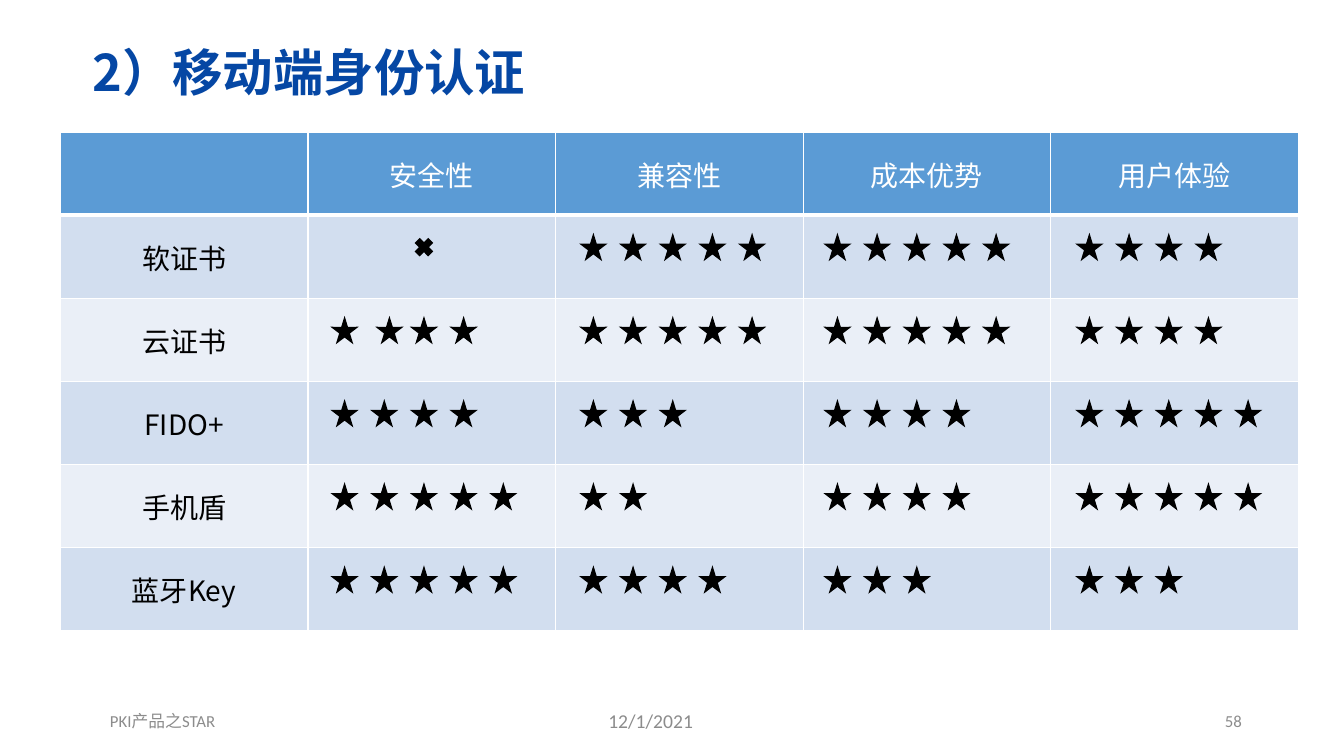
import pptx
import pptx.util
import pptx.dml.color
import pptx.enum.shapes
import pptx.enum.text
import pptx.oxml.ns
from lxml import etree

Cm, Pt = pptx.util.Cm, pptx.util.Pt
RGBColor = pptx.dml.color.RGBColor
MSO_SHAPE = pptx.enum.shapes.MSO_SHAPE
PP_ALIGN = pptx.enum.text.PP_ALIGN
MIDDLE = pptx.enum.text.MSO_ANCHOR.MIDDLE
qn = pptx.oxml.ns.qn

TITLE_BLUE = RGBColor(0x05, 0x47, 0xA4)
HEADER_BLUE = RGBColor(0x5B, 0x9B, 0xD5)
BAND_DARK = RGBColor(0xD2, 0xDE, 0xEF)
BAND_LIGHT = RGBColor(0xEA, 0xEF, 0xF7)
GREY = RGBColor(0x8C, 0x8C, 0x8C)
BLACK = RGBColor(0, 0, 0)
WHITE = RGBColor(0xFF, 0xFF, 0xFF)

CJK_FONT = "Noto Sans CJK SC"
LATIN_FONT = "Calibri"

CRITERIA = ["安全性", "兼容性", "成本优势", "用户体验"]
# Stars per criterion; 0 stands for a cross
RATINGS = [
    ("软证书", (0, 5, 5, 4)),
    ("云证书", (4, 5, 5, 4)),
    ("FIDO+", (4, 3, 4, 5)),
    ("手机盾", (5, 2, 4, 5)),
    ("蓝牙Key", (5, 4, 3, 3)),
]
MARK_INSETS = (0.62, 0.65, 0.56, 0.67)
MARK_TOP, MARK_SIZE, MARK_PITCH = 0.5, 0.61, 1.0
CROSS_SLOT = 2
# Extra shift of single stars: (row, column, star)
NUDGES = {(1, 0, 1): 0.13}


def style_text(p, text, size, color, font, align=PP_ALIGN.LEFT, bold=False):
    p.text = text
    p.alignment = align
    p.font.size = Pt(size)
    p.font.bold = bold
    p.font.color.rgb = color
    p.font.name = font
    for r in p.runs:
        ea = etree.SubElement(r._r.get_or_add_rPr(), qn("a:ea"))
        ea.set("typeface", CJK_FONT)


def add_text(s, box, *style, **options):
    tb = s.shapes.add_textbox(*(Cm(v) for v in box))
    tf = tb.text_frame
    tf.word_wrap = True
    tf.vertical_anchor = MIDDLE
    style_text(tf.paragraphs[0], *style, **options)
    return tf.paragraphs[0]


def add_title(s, box):
    p = add_text(s, box, "2）移动端身份认证", 36, TITLE_BLUE, CJK_FONT, bold=True)
    p.line_spacing = 0.9


def add_footer(s, box):
    left, top, width, height = box
    add_text(s, (left, top, 4.04, height), "PKI产品之STAR", 12, GREY,
             LATIN_FONT, PP_ALIGN.CENTER)
    add_text(s, (left + 13, top, 3, height), "12/1/2021", 14, GREY, LATIN_FONT)
    add_text(s, (left + width - 7.62, top, 7.62, height), "58", 12, GREY,
             LATIN_FONT, PP_ALIGN.RIGHT)


def set_borders(cell, bottom):
    tcPr = cell._tc.get_or_add_tcPr()
    for side, width in (("L", 1), ("R", 1), ("T", 1), ("B", bottom)):
        ln = etree.SubElement(tcPr, qn("a:ln" + side), w=str(Pt(width)))
        fill = etree.SubElement(ln, qn("a:solidFill"))
        etree.SubElement(fill, qn("a:srgbClr"), val=str(WHITE))


def add_rating_table(s, box):
    left, top, width, height = box
    rows = [["", *CRITERIA]] + [[name] for name, _ in RATINGS]
    n_rows, n_cols = len(rows), len(rows[0])
    table = s.shapes.add_table(n_rows, n_cols, *(Cm(v) for v in box)).table
    table.first_row = table.horz_banding = False
    for i, texts in enumerate(rows):
        header = i == 0
        band = HEADER_BLUE if header else (BAND_LIGHT, BAND_DARK)[i % 2]
        for j in range(n_cols):
            cell = table.cell(i, j)
            set_borders(cell, 3 if header else 1)
            cell.fill.solid()
            cell.fill.fore_color.rgb = band
            cell.vertical_anchor = MIDDLE
            if j < len(texts) and texts[j]:
                style_text(cell.text_frame.paragraphs[0], texts[j], 20,
                           WHITE if header else BLACK, CJK_FONT, PP_ALIGN.CENTER)
    add_marks(s, (left, top), width / n_cols, height / n_rows)


def add_mark(s, kind, x, y):
    sp = s.shapes.add_shape(kind, Cm(x), Cm(y), Cm(MARK_SIZE), Cm(MARK_SIZE))
    sp.shadow.inherit = False
    sp.fill.solid()
    sp.fill.fore_color.rgb = BLACK
    sp.line.color.rgb = BLACK
    sp.line.width = Pt(1)
    # Sharp corners
    ln = sp._element.spPr.find(qn("a:ln"))
    etree.SubElement(ln, qn("a:miter"), lim="800000")


def add_marks(s, corner, col_width, row_height):
    left, top = corner
    for i, (_, scores) in enumerate(RATINGS):
        y = top + (i + 1) * row_height + MARK_TOP
        for j, score in enumerate(scores):
            x = left + (j + 1) * col_width + MARK_INSETS[j]
            if score == 0:
                add_mark(s, MSO_SHAPE.MATH_MULTIPLY, x + CROSS_SLOT * MARK_PITCH, y)
            for k in range(score):
                shift = NUDGES.get((i, j, k), 0)
                add_mark(s, MSO_SHAPE.STAR_5_POINT, x + k * MARK_PITCH + shift, y)


def main():
    prs = pptx.Presentation()
    prs.slide_width, prs.slide_height = Cm(33.87), Cm(19.05)
    s = prs.slides.add_slide(prs.slide_layouts[6])
    add_title(s, (2.08, 1.24, 27.91, 1.32))
    add_rating_table(s, (1.52, 3.33, 31.2, 12.57))
    add_footer(s, (2.08, 17.65, 29.47, 1.02))
    prs.save("out.pptx")


if __name__ == "__main__":
    main()
